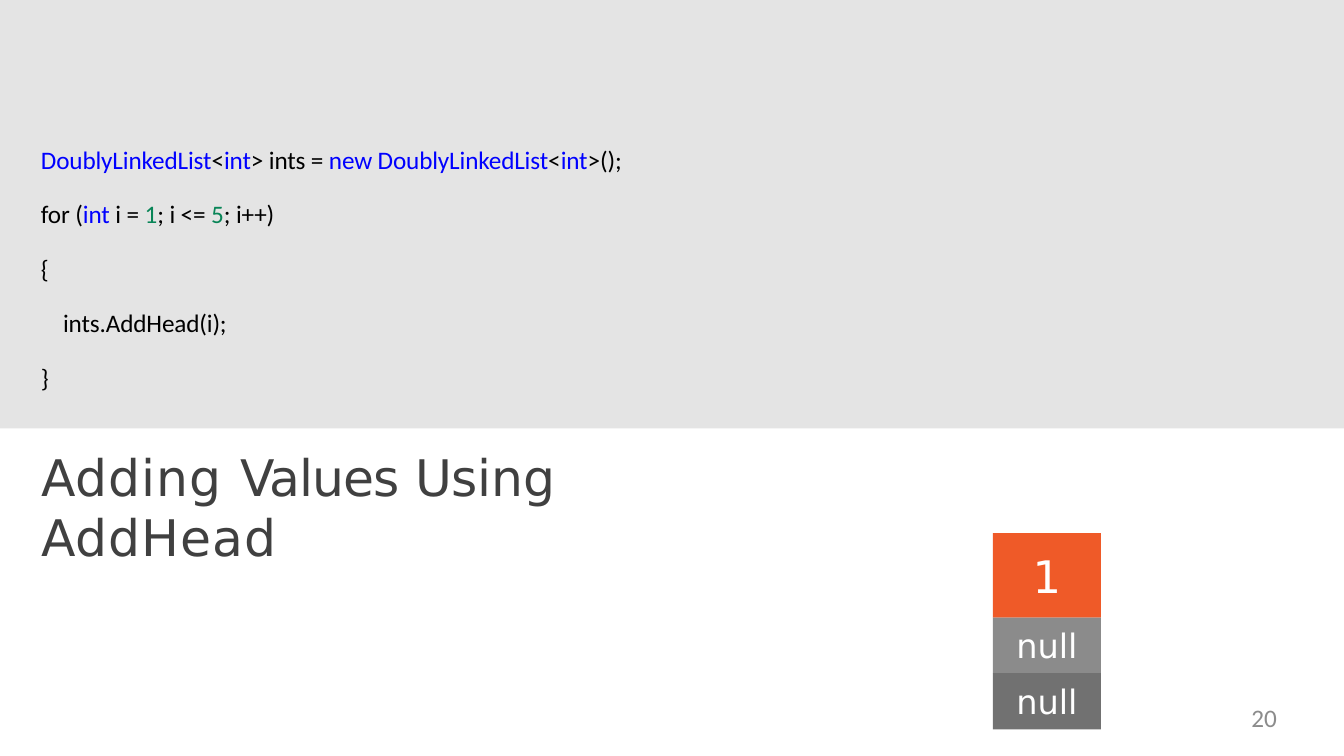
"""Build the slide that shows AddHead putting the first node in a doubly linked list."""
from pptx import Presentation
from pptx.dml.color import RGBColor
from pptx.enum.shapes import MSO_SHAPE
from pptx.enum.text import MSO_ANCHOR, PP_ALIGN
from pptx.util import Pt

RECTANGLE = MSO_SHAPE.RECTANGLE
TOP, MIDDLE = MSO_ANCHOR.TOP, MSO_ANCHOR.MIDDLE
LEFT, CENTER, RIGHT = PP_ALIGN.LEFT, PP_ALIGN.CENTER, PP_ALIGN.RIGHT

BLACK = RGBColor(0x00, 0x00, 0x00)
WHITE = RGBColor(0xFF, 0xFF, 0xFF)
BLUE = RGBColor(0x00, 0x00, 0xFF)
GREEN = RGBColor(0x08, 0x85, 0x57)
BANNER_GRAY = RGBColor(0xE4, 0xE4, 0xE4)
TITLE_GRAY = RGBColor(0x40, 0x40, 0x40)
NUMBER_GRAY = RGBColor(0x8C, 0x8C, 0x8C)
ORANGE = RGBColor(0xEF, 0x5A, 0x28)
MID_GRAY = RGBColor(0x8B, 0x8B, 0x8B)
DARK_GRAY = RGBColor(0x71, 0x71, 0x71)

CODE_FONT, LABEL_FONT = "Calibri", "DejaVu Sans"
MARGIN = 29.3
NODE_LEFT, NODE_TOP, NODE_WIDTH = 709.2, 380.8, 77.2

CODE_LINES = [
    [("DoublyLinkedList", BLUE), ("<", BLACK), ("int", BLUE), ("> ints = ", BLACK),
     ("new DoublyLinkedList", BLUE), ("<", BLACK), ("int", BLUE), (">();", BLACK)],
    [("for (", BLACK), ("int ", BLUE), ("i = ", BLACK), ("1", GREEN),
     ("; i <= ", BLACK), ("5", GREEN), ("; i++)", BLACK)],
    [("{", BLACK)],
    [("    ints.AddHead(i);", BLACK)],
    [("}", BLACK)],
]
TITLE_WORDS = [("Adding ", 0.8), ("Values ", -0.7), ("Using ", -0.1), ("AddHead", 0.8)]
NODE_CELLS = [("1", 60.4, 32, ORANGE), ("null", 39.6, 24, MID_GRAY),
              ("null", 40.2, 24, DARK_GRAY)]


def set_all(target, values):
    for name, value in values.items():
        setattr(target, name, value)


def prepare_frame(frame, anchor):
    set_all(frame, {"margin_left": 0, "margin_right": 0, "margin_top": 0,
                    "margin_bottom": 0, "word_wrap": True, "vertical_anchor": anchor})


def add_run(paragraph, text, font_name, size, color, spacing=0):
    run = paragraph.add_run()
    run.text = text
    set_all(run.font, {"name": font_name, "size": Pt(size)})
    run.font.color.rgb = color
    if spacing:
        run.font._element.set("spc", str(round(spacing * 100)))


def add_block(slide, left, top, width, height, color):
    block = slide.shapes.add_shape(RECTANGLE, Pt(left), Pt(top), Pt(width), Pt(height))
    block.shadow.inherit = False
    block.fill.solid()
    block.fill.fore_color.rgb = color
    block.line.fill.background()
    return block


def add_text_frame(slide, left, top, width, height):
    box = slide.shapes.add_textbox(Pt(left), Pt(top), Pt(width), Pt(height))
    prepare_frame(box.text_frame, TOP)
    return box.text_frame


def add_code(slide):
    frame = add_text_frame(slide, MARGIN, 103, 440, 181)
    for index, line in enumerate(CODE_LINES):
        paragraph = frame.add_paragraph() if index else frame.paragraphs[0]
        if index:
            paragraph.space_before = Pt(17.3)
        for text, color in line:
            add_run(paragraph, text, CODE_FONT, 18, color, -0.1)


def fill_title(slide):
    title = slide.shapes.title
    set_all(title, {"left": Pt(MARGIN), "top": Pt(318.5),
                    "width": Pt(530), "height": Pt(86)})
    prepare_frame(title.text_frame, TOP)
    paragraph = title.text_frame.paragraphs[0]
    set_all(paragraph, {"alignment": LEFT, "line_spacing": 1.0})
    for word, spacing in TITLE_WORDS:
        add_run(paragraph, word, LABEL_FONT, 36, TITLE_GRAY, spacing)


def add_node(slide):
    top = NODE_TOP
    for text, height, size, color in NODE_CELLS:
        cell = add_block(slide, NODE_LEFT, top, NODE_WIDTH, height, color)
        prepare_frame(cell.text_frame, MIDDLE)
        paragraph = cell.text_frame.paragraphs[0]
        paragraph.alignment = CENTER
        add_run(paragraph, text, LABEL_FONT, size, WHITE)
        top += height


def add_page_number(slide):
    paragraph = add_text_frame(slide, 691.2, 502, 221, 27).paragraphs[0]
    paragraph.alignment = RIGHT
    add_run(paragraph, "20", CODE_FONT, 18, NUMBER_GRAY)


def main():
    presentation = Presentation()
    set_all(presentation, {"slide_width": Pt(960), "slide_height": Pt(540)})
    slide = presentation.slides.add_slide(presentation.slide_layouts[5])
    add_block(slide, 0, 0, 960, 306, BANNER_GRAY)
    add_code(slide)
    fill_title(slide)
    add_node(slide)
    add_page_number(slide)
    presentation.save("out.pptx")


if __name__ == "__main__":
    main()
